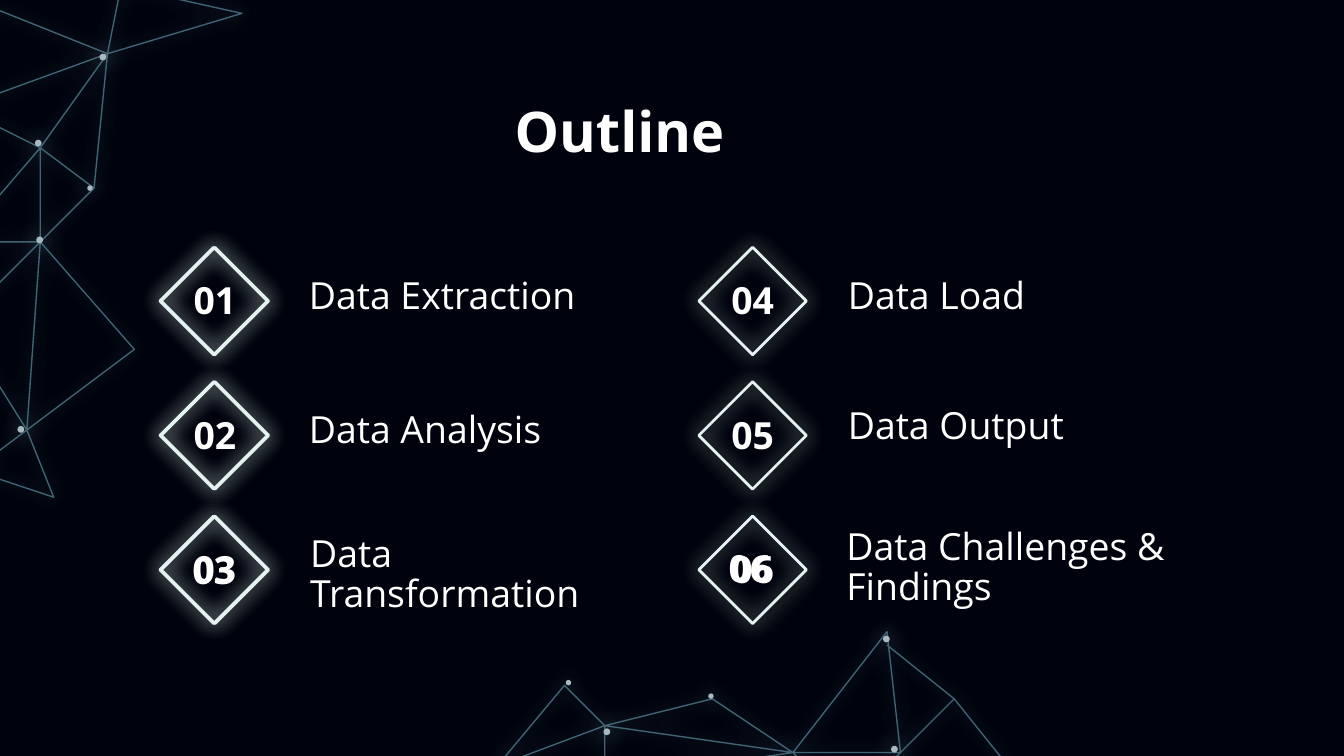
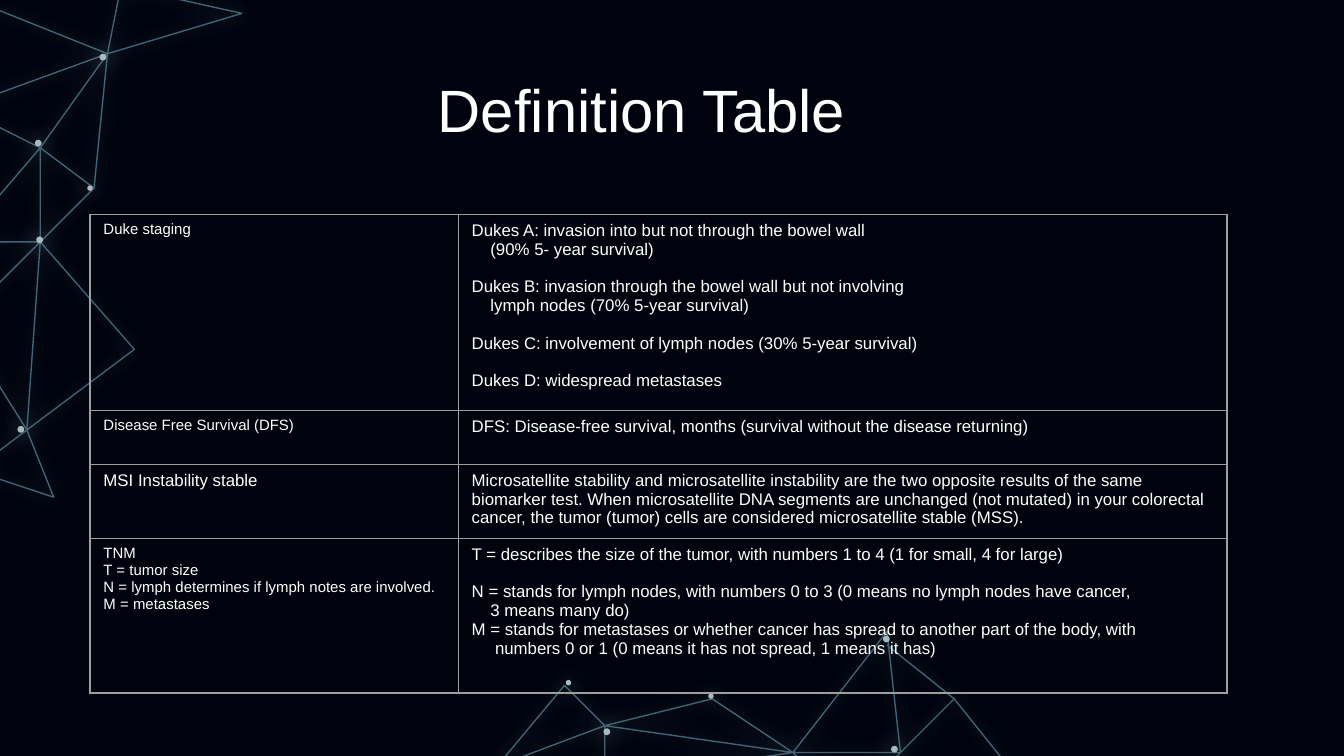
"""Build an outline slide and a definition table over a shared network backdrop."""
import pptx
import pptx.dml.color
import pptx.enum.shapes
import pptx.enum.text
import pptx.oxml
import pptx.oxml.ns
import pptx.util

COLORS = {
    "background": "00030D",
    "network": "406473",
    "node": "A8B9BF",
    "diamond": "E4F2F1",
    "text": "FFFFFF",
    "border": "9E9E9E",
}
NAMESPACE = pptx.oxml.ns.nsdecls("a")
RGB = pptx.dml.color.RGBColor.from_string
POINT = pptx.util.Pt
SHAPE = pptx.enum.shapes.MSO_SHAPE
ALIGN = pptx.enum.text.PP_ALIGN
ANCHOR = pptx.enum.text.MSO_ANCHOR
UNIT = pptx.util.Inches(0.1)
COLUMNS, ROWS = 100, 56.25


def write(frame, text, size=20, font="Open Sans", bold=False, align=ALIGN.LEFT,
          anchor=ANCHOR.TOP, spacing=None, inset=1):
    """Fill a frame from a string or from (line, indent, gap) tuples."""
    frame.word_wrap = True
    frame.vertical_anchor = anchor
    frame.margin_left = frame.margin_right = UNIT
    frame.margin_top = frame.margin_bottom = int(inset * UNIT)
    lines = [(text, 0, 0)] if isinstance(text, str) else text
    for index, (line, indent, gap) in enumerate(lines):
        para = frame.add_paragraph() if index else frame.paragraphs[0]
        para.alignment = align
        if spacing:
            para.line_spacing = spacing
        if gap:
            para.space_before = POINT(gap)
        if indent:
            para._p.get_or_add_pPr().set("marL", str(POINT(indent)))
        span = para.add_run()
        span.text = line
        span.font.name = font
        span.font.size = POINT(size)
        span.font.bold = bold
        span.font.color.rgb = RGB(COLORS["text"])


def glow(shape, color, line=None):
    """Give a shape a soft halo and either an outline or a solid fill."""
    if line:
        shape.fill.background()
        shape.line.color.rgb = RGB(COLORS[color])
        shape.line.width = POINT(line)
    else:
        shape.fill.solid()
        shape.fill.fore_color.rgb = RGB(COLORS[color])
        shape.line.fill.background()
    shape.shadow.inherit = False
    effects = shape._element.spPr.find(pptx.oxml.ns.qn("a:effectLst"))
    effects.append(pptx.oxml.parse_xml(
        f'<a:outerShdw {NAMESPACE} blurRad="{POINT(11.2)}" dist="0" algn="bl" rotWithShape="0">'
        f'<a:srgbClr val="{COLORS[color]}"><a:alpha val="85000"/></a:srgbClr></a:outerShdw>'))


deck = pptx.Presentation()
deck.slide_width = COLUMNS * UNIT
deck.slide_height = int(ROWS * UNIT)
backdrop = deck.slide_master.background.fill
backdrop.solid()
backdrop.fore_color.rgb = RGB(COLORS["background"])

network_paths = [
    [(-3, 8.3), (2.9, 10.6), (6.8, 14), (3, 17.9), (2.8, 10.6), (-2.7, 17.8), (3, 17.9),
     (9.8, 25.6), (1.5, 32), (3, 17.9), (-3, 24.3), (1.6, 32), (3.8, 37.4), (-2.1, 34.8),
     (1.5, 32)],
    [(2.9, 10.6), (7.7, 4.2), (-2.8, 7.5), (-2.2, 0.1), (7.8, 4.2), (8.6, -1), (17.9, 0.9),
     (7.7, 4.2), (6.8, 14)],
    [(71.3, 52.3), (66.6, 55.8), (63.2, 59.7), (59.3, 55.9), (66.6, 55.7), (65.9, 47.4),
     (59.3, 55.9), (44.9, 58.3), (45.2, 54.4), (59.3, 55.9), (52.9, 51.8), (45.2, 54.5),
     (37.3, 57), (42.3, 50.8), (45.2, 54.4)],
    [(65.9, 47.5), (71.3, 52.3), (74.6, 56.6)],
]
network_nodes = [
    (7.4, 4, 0.5), (2.6, 10.4, 0.5), (6.5, 13.8, 0.4), (2.7, 17.6, 0.5), (1.3, 31.7, 0.5),
    (42.1, 50.6, 0.4), (44.9, 54.2, 0.5), (65.7, 47.3, 0.5), (66.3, 55.5, 0.5),
    (52.7, 51.6, 0.4),
]

pages = [deck.slides.add_slide(deck.slide_layouts[6]) for _ in range(2)]
for page in pages:
    for start, *points in network_paths:
        builder = page.shapes.build_freeform(*start, scale=UNIT)
        builder.add_line_segments(points, close=False)
        glow(builder.convert_to_shape(), "network", line=0.75)
    for left, top, size in network_nodes:
        node = page.shapes.add_shape(
            SHAPE.OVAL, *[int(n * UNIT) for n in (left, top, size, size)])
        glow(node, "node")

outline, definitions = pages

for left in (12, 52, 11.9):
    for row in range(3):
        diamond = outline.shapes.add_shape(
            SHAPE.DIAMOND, *[int(n * UNIT) for n in (left, 18.4 + 10 * row, 8, 8)])
        glow(diamond, "diamond", line=1.5)

heading = {"bold": True, "align": ALIGN.CENTER}
number = {**heading, "anchor": ANCHOR.MIDDLE}
label = {"anchor": ANCHOR.BOTTOM, "spacing": 0.9}
outline_texts = [
    ("Outline", (3.9, 6.2, 84.4, 6.5), {**heading, "size": 30}),
    ("06", (52.3, 39.7, 7, 5), number),
    ("03", (12.4, 39.9, 7, 5), number),
]
topics = [
    ("Data Extraction", 22, 19.6, 5),
    ("Data Analysis", 22, 29.6, 5),
    ("Data Transformation", 22.1, 38.8, 8),
    ("Data Load", 62.1, 19.6, 5),
    ("Data Output", 62.1, 29.3, 5),
    ("Data Challenges & Findings", 62, 38.3, 8),
]
for index, (topic, left, top, height) in enumerate(topics):
    column, row = divmod(index, 3)
    place = (12.5 + 40 * column, 19.8 + 10 * row, 7, 5)
    outline_texts.append((f"{index + 1:02d}", place, number))
    outline_texts.append((topic, (left, top, 26, height), label))
for text, place, look in outline_texts:
    box = outline.shapes.add_textbox(*[int(n * UNIT) for n in place])
    write(box.text_frame, text, **look)

definition_rows = [
    (14.6, 8, "Duke staging", [
        ("Dukes A: invasion into but not through the bowel wall", 0, 0),
        ("(90% 5- year survival)", 10, 0),
        ("Dukes B: invasion through the bowel wall but not involving", 0, 10),
        ("lymph nodes (70% 5-year survival)", 10, 0),
        ("Dukes C: involvement of lymph nodes (30% 5-year survival)", 0, 10),
        ("Dukes D: widespread metastases", 0, 10),
    ]),
    (4, 8, "Disease Free Survival (DFS)",
     "DFS: Disease-free survival, months (survival without the disease returning)"),
    (5.5, 9, "MSI Instability stable",
     "Microsatellite stability and microsatellite instability are the two opposite results of "
     "the same biomarker test. When microsatellite DNA segments are unchanged (not mutated) in "
     "your colorectal cancer, the tumor (tumor) cells are considered microsatellite stable "
     "(MSS)."),
    (11.5, 8, [
        ("TNM", 0, 0),
        ("T = tumor size", 0, 0),
        ("N = lymph determines if lymph notes are involved.", 0, 0),
        ("M = metastases", 0, 0),
    ], [
        ("T = describes the size of the tumor, with numbers 1 to 4 (1 for small, 4 for large)",
         0, 0),
        ("N = stands for lymph nodes, with numbers 0 to 3 (0 means no lymph nodes have cancer,",
         0, 10),
        ("3 means many do)", 10, 0),
        ("M = stands for metastases or whether cancer has spread to another part of the body, "
         "with", 0, 0),
        ("numbers 0 or 1 (0 means it has not spread, 1 means it has)", 12.5, 0),
    ]),
]
grid = definitions.shapes.add_table(
    len(definition_rows), 2, *[int(n * UNIT) for n in (6.7, 15.95, 84.6, 35.6)]).table
grid.first_row = grid.horz_banding = False
for column, width in zip(grid.columns, (27.4, 57.2)):
    column.width = int(width * UNIT)
for row, (height, term_size, term, meaning) in zip(grid.rows, definition_rows):
    row.height = int(height * UNIT)
    for cell, text, size in zip(row.cells, (term, meaning), (term_size, 9)):
        properties = cell._tc.get_or_add_tcPr()
        for side in "LRTB":
            properties.append(pptx.oxml.parse_xml(
                f'<a:ln{side} {NAMESPACE} w="{POINT(0.75)}"><a:solidFill>'
                f'<a:srgbClr val="{COLORS["border"]}"/></a:solidFill></a:ln{side}>'))
        cell.fill.background()
        write(cell.text_frame, text, size=size, font="Arial", inset=0.5)

title = definitions.shapes.add_textbox(*[int(n * UNIT) for n in (31.6, 4.9, 44.4, 6.4)])
write(title.text_frame, "Definition Table", size=32, font="Arial", inset=0.5)

deck.save("out.pptx")
